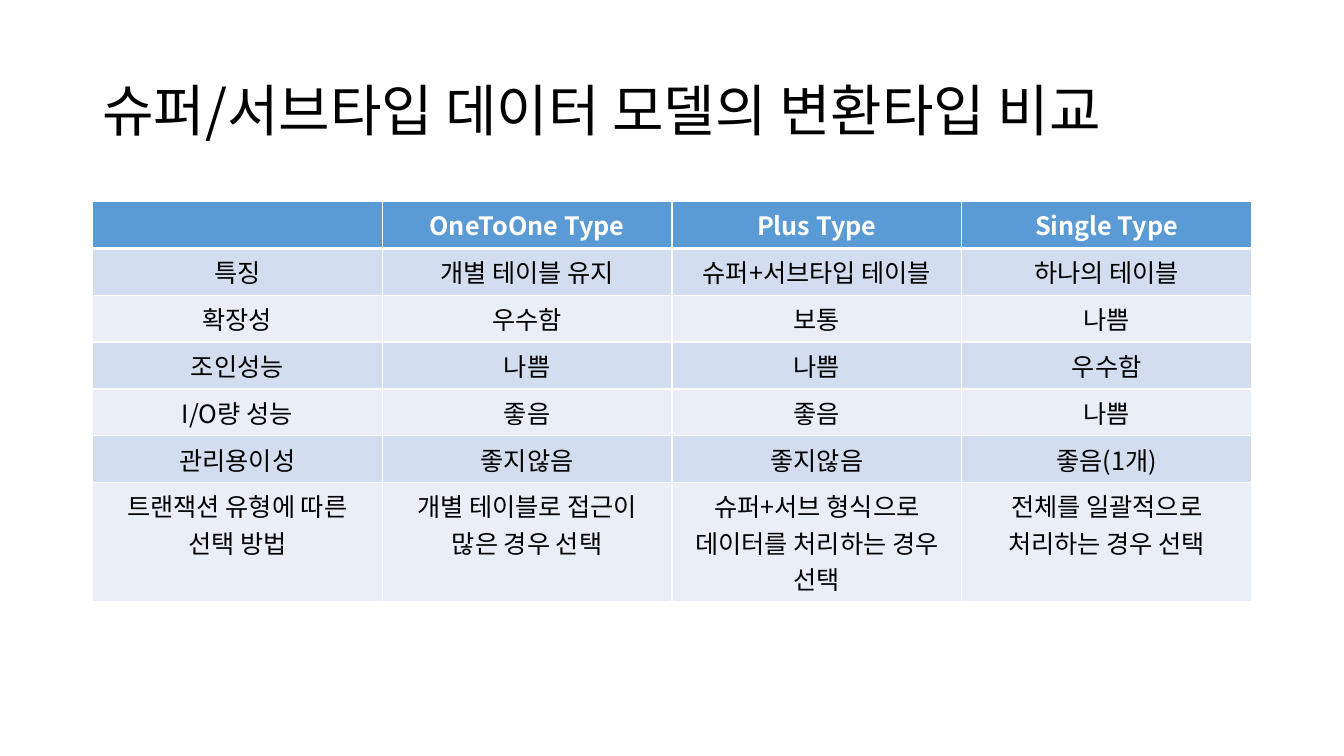
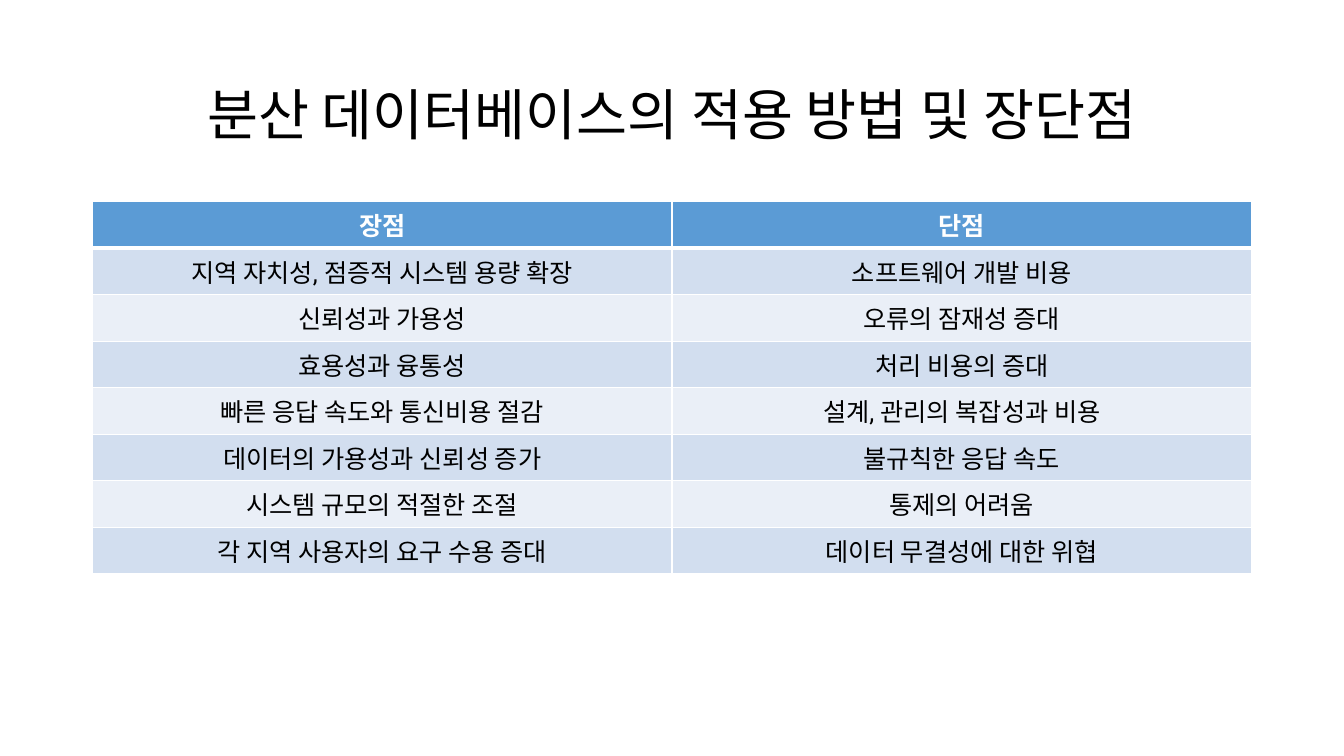
from lxml.etree import SubElement
from pptx import Presentation
from pptx.dml.color import RGBColor
from pptx.enum.text import MSO_ANCHOR, PP_ALIGN
from pptx.oxml import parse_xml
from pptx.oxml.ns import nsdecls, qn
from pptx.util import Pt

WHITE, BLACK, BLUE = "FFFFFF", "000000", "5B9BD5"
BANDS = ("D2DEEF", "EAEFF7")
KOREAN_FONT, LATIN_FONT = "Noto Sans CJK KR", "Roboto"
LEFT, WIDTH = 66, 828
TITLE_TOP, TITLE_HEIGHT = 28.75, 104.38
TABLE_TOP = 144

COMPARISON = [
    ("", "OneToOne Type", "Plus Type", "Single Type"),
    ("특징", "개별 테이블 유지", "슈퍼+서브타입 테이블", "하나의 테이블"),
    ("확장성", "우수함", "보통", "나쁨"),
    ("조인성능", "나쁨", "나쁨", "우수함"),
    ("I/O량 성능", "좋음", "좋음", "나쁨"),
    ("관리용이성", "좋지않음", "좋지않음", "좋음(1개)"),
    ("트랜잭션 유형에 따른 선택 방법", "개별 테이블로 접근이 많은 경우 선택",
     "슈퍼+서브 형식으로 데이터를 처리하는 경우 선택",
     "전체를 일괄적으로 처리하는 경우 선택"),
]
PROS_AND_CONS = [
    ("장점", "단점"),
    ("지역 자치성, 점증적 시스템 용량 확장", "소프트웨어 개발 비용"),
    ("신뢰성과 가용성", "오류의 잠재성 증대"),
    ("효용성과 융통성", "처리 비용의 증대"),
    ("빠른 응답 속도와 통신비용 절감", "설계, 관리의 복잡성과 비용"),
    ("데이터의 가용성과 신뢰성 증가", "불규칙한 응답 속도"),
    ("시스템 규모의 적절한 조절", "통제의 어려움"),
    ("각 지역 사용자의 요구 수용 증대", "데이터 무결성에 대한 위협"),
]


def color(value):
    """Turn a hex string into a colour."""
    return RGBColor.from_string(value)


def write_text(frame, text, font=KOREAN_FONT, east_asian_font=None, size=18, fill=BLACK,
               bold=False, align=PP_ALIGN.CENTER, line_spacing=None):
    """Write one formatted paragraph into a text frame."""
    paragraph = frame.paragraphs[0]
    paragraph.alignment = align
    paragraph.line_spacing = line_spacing
    run = paragraph.add_run()
    run.text = text
    run.font.name = font
    run.font.size = Pt(size)
    run.font.bold = bold
    run.font.color.rgb = color(fill)
    if east_asian_font:
        SubElement(run.font._element, qn("a:ea")).set("typeface", east_asian_font)


def add_title(slide, text, **text_format):
    """Add the slide title, centred vertically in its band."""
    box = slide.shapes.add_textbox(Pt(LEFT), Pt(TITLE_TOP), Pt(WIDTH), Pt(TITLE_HEIGHT))
    box.text_frame.word_wrap = True
    box.text_frame.vertical_anchor = MSO_ANCHOR.MIDDLE
    write_text(box.text_frame, text, **text_format)


def set_borders(cell, top=1, bottom=1):
    """Draw white borders, with their widths in points."""
    properties = cell._tc.get_or_add_tcPr()
    for index, (side, width) in enumerate(zip("LRTB", (1, 1, top, bottom))):
        properties.insert(index, parse_xml(
            f'<a:ln{side} {nsdecls("a")} w="{Pt(width)}"><a:solidFill>'
            f'<a:srgbClr val="{WHITE}"/></a:solidFill></a:ln{side}>'))


def add_banded_table(slide, rows, row_height, last_height, **text_format):
    """Add a table with a blue header and alternating row bands."""
    heights = [row_height] * (len(rows) - 1) + [last_height]
    columns = len(rows[0])
    table = slide.shapes.add_table(len(rows), columns, Pt(LEFT), Pt(TABLE_TOP),
                                   Pt(WIDTH), Pt(sum(heights))).table
    for column in table.columns:
        column.width = Pt(WIDTH / columns)
    for row_index, texts in enumerate(rows):
        table.rows[row_index].height = Pt(heights[row_index])
        header = row_index == 0
        for column_index, text in enumerate(texts):
            cell = table.cell(row_index, column_index)
            cell.fill.solid()
            cell.fill.fore_color.rgb = color(BLUE if header else BANDS[(row_index - 1) % 2])
            set_borders(cell, top=3 if row_index == 1 else 1, bottom=3 if header else 1)
            write_text(cell.text_frame, text, bold=header,
                       fill=WHITE if header else BLACK, **text_format)


def main():
    """Build and save the presentation."""
    presentation = Presentation()
    presentation.slide_width, presentation.slide_height = Pt(960), Pt(540)
    blank = presentation.slide_layouts[6]

    slide = presentation.slides.add_slide(blank)
    add_title(slide, "슈퍼/서브타입 데이터 모델의 변환타입 비교", size=40,
              align=PP_ALIGN.LEFT, line_spacing=0.9)
    add_banded_table(slide, COMPARISON, row_height=33.45, last_height=84.7,
                     east_asian_font=KOREAN_FONT)

    slide = presentation.slides.add_slide(blank)
    add_title(slide, "분산 데이터베이스의 적용 방법 및 장단점", font=LATIN_FONT, size=39.6)
    add_banded_table(slide, PROS_AND_CONS, row_height=33.25, last_height=33.25,
                     font=LATIN_FONT)

    presentation.save("out.pptx")


main()
